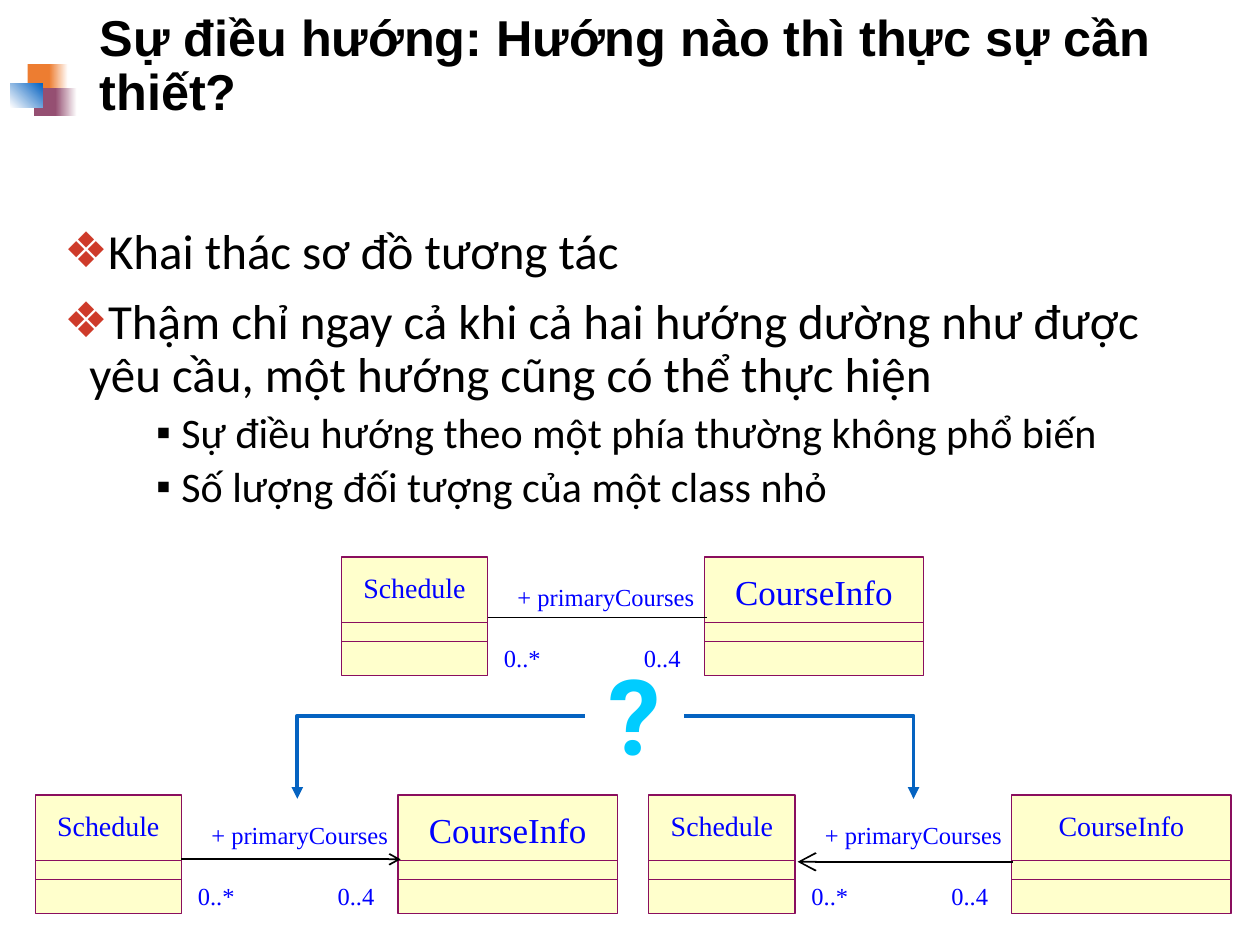
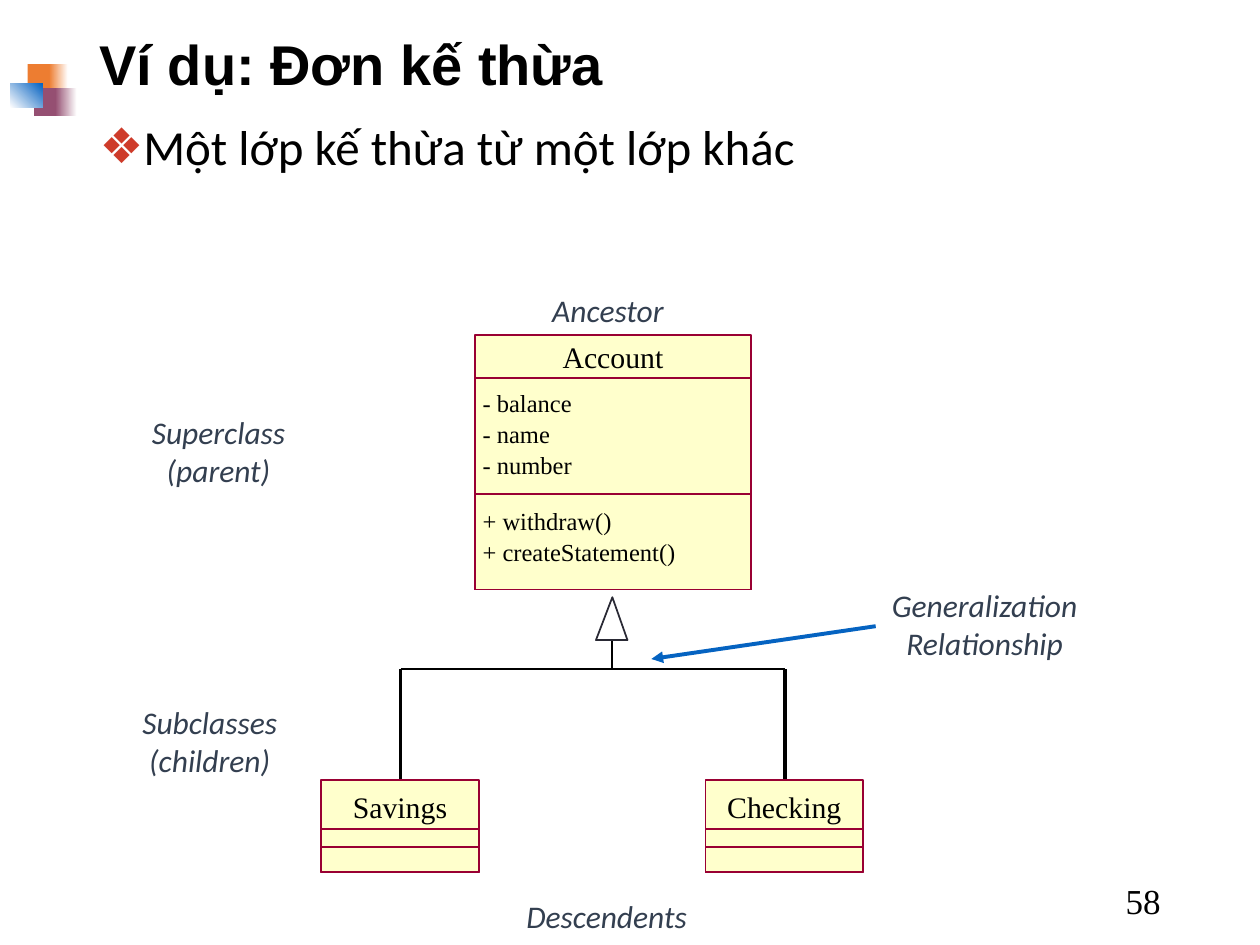
from dataclasses import dataclass
from typing import NamedTuple, Optional

from lxml.etree import SubElement
from pptx import Presentation
from pptx.dml.color import RGBColor
from pptx.enum.shapes import MSO_CONNECTOR as Conn, MSO_SHAPE as Shape
from pptx.enum.text import MSO_ANCHOR as Anchor, MSO_AUTO_SIZE as Fit, PP_ALIGN as Align
from pptx.oxml.ns import qn
from pptx.util import Inches, Pt

# Grid: 100 columns by 75 rows over the slide
COLS, ROWS = 100, 75
CELL = Inches(10) / COLS

BLACK, WHITE, BLUE = "000000", "FFFFFF", "0563C1"
ORANGE, PURPLE, RED = "ED7D31", "954F72", "CE3B2A"
CREAM, PLUM, CRIMSON = "FFFFCC", "8A0E5E", "990033"
LABEL_BLUE, CYAN, SLATE, INK = "0000FF", "00CCFF", "333F50", "292934"
SERIF, SANS, HEAD = "Times New Roman", "Calibri", "Arial"


class Box(NamedTuple):
    left: float
    top: float
    width: float
    height: float


@dataclass
class Mark:
    box: Box
    color: str
    end: Optional[str] = None
    angle: int = 0


@dataclass
class Association:
    """Schedule and CourseInfo joined by a line, placed from its left top corner."""
    left: float
    top: float
    line_y: float
    line_x: tuple = (11.6, 29)
    course_size: int = 20
    head: Optional[str] = None
    tail: Optional[str] = None


@dataclass
class ClassBox:
    name: str
    box: Box
    splits: tuple
    name_y: float


class Bullet(NamedTuple):
    char: str
    color: str
    size: int
    indent: float
    before: int


TOP_BULLET = Bullet("❖", RED, 28, 2, 10)
SUB_BULLET = Bullet("▪", BLACK, 24, 9.3, 5)

MARKS = [
    Mark(Box(2.2, 5.1, 2, 2.2), ORANGE),
    Mark(Box(3.9, 5.1, 1.5, 2.2), ORANGE, WHITE),
    Mark(Box(2.7, 7, 1.9, 2.2), PURPLE),
    Mark(Box(4.4, 7, 1.7, 2.2), PURPLE, WHITE),
    Mark(Box(0.8, 6.6, 2.6, 1.9), WHITE, BLUE, 45),
]


# Basic tools
def u(n: float) -> int:
    return round(n * CELL)


def rgb(color: str) -> RGBColor:
    return RGBColor.from_string(color)


def style_line(shape, color, width, head=None, tail=None, size="med") -> None:
    shape.line.color.rgb = rgb(color)
    shape.line.width = Pt(width)
    ln = shape.line._get_or_add_ln()
    for tag, kind in (("a:headEnd", head), ("a:tailEnd", tail)):
        if kind:
            SubElement(ln, qn(tag), type=kind, w=size, len=size)


def add_line(s, x1, y1, x2, y2, color=BLACK, width=1.0, **ends):
    c = s.shapes.add_connector(Conn.STRAIGHT, u(x1), u(y1), u(x2), u(y2))
    SubElement(c._element.spPr, qn("a:effectLst"))
    effects = c._element.spPr[-1]
    style_line(c, color, width, **ends)
    c._element.spPr.append(effects)
    return c


def add_rect(s, box: Box, fill=None, line=None, width=1.0):
    sp = s.shapes.add_shape(Shape.RECTANGLE, *map(u, box))
    sp.shadow.inherit = False
    if fill:
        sp.fill.solid()
        sp.fill.fore_color.rgb = rgb(fill)
    else:
        sp.fill.background()
    if line:
        style_line(sp, line, width)
    else:
        sp.line.fill.background()
    return sp


def add_outline(s, points, color, width, close=False, **ends):
    start, *rest = [(u(x), u(y)) for x, y in points]
    builder = s.shapes.build_freeform(*start)
    builder.add_line_segments(rest, close=close)
    sp = builder.convert_to_shape()
    sp.shadow.inherit = False
    sp.fill.background()
    style_line(sp, color, width, **ends)
    return sp


def format_text(p, text, size, font=SERIF, color=BLACK, bold=False, italic=False,
                align=Align.LEFT) -> None:
    p.text = text
    p.alignment = align
    for r in p.runs:
        f = r.font
        f.name, f.size, f.bold, f.italic = font, Pt(size), bold, italic
        f.color.rgb = rgb(color)


def add_text(s, box: Box, text, size, inset=(0, 0), wrap=False, anchor=Anchor.TOP, **kw):
    tf = s.shapes.add_textbox(*map(u, box)).text_frame
    tf.word_wrap = wrap
    tf.vertical_anchor = anchor
    tf.margin_left = tf.margin_right = u(inset[0])
    tf.margin_top = tf.margin_bottom = u(inset[1])
    format_text(tf.paragraphs[0], text, size, **kw)


# Shared slide parts
def place(ph, box: Box):
    ph.left, ph.top, ph.width, ph.height = map(u, box)
    ph.text_frame.auto_size = Fit.NONE
    ph.text_frame.word_wrap = True
    return ph.text_frame


def set_bullet(p, b: Bullet) -> None:
    pPr = p._p.get_or_add_pPr()
    pPr.set("marL", str(u(b.indent)))
    pPr.set("indent", str(-u(2)))
    clr = SubElement(pPr, qn("a:buClr"))
    SubElement(clr, qn("a:srgbClr"), val=b.color)
    SubElement(pPr, qn("a:buFont"), typeface=HEAD)
    SubElement(pPr, qn("a:buChar"), char=b.char)


def new_slide(prs, title: str, title_size: float, body_box: Box, items):
    s = prs.slides.add_slide(prs.slide_layouts[1])
    for m in MARKS:
        sp = add_rect(s, m.box, m.color)
        if m.end:
            sp.fill.gradient()
            sp.fill.gradient_angle = m.angle
            for stop, color in zip(sp.fill.gradient_stops, (m.color, m.end)):
                stop.color.rgb = rgb(color)

    tf = place(s.shapes.title, Box(6.9, 1.3, 86.2, 8.1))
    tf.vertical_anchor = Anchor.MIDDLE
    tf.paragraphs[0].line_spacing = 0.9
    format_text(tf.paragraphs[0], title, title_size, HEAD, bold=True)

    tf = place(s.placeholders[1], body_box)
    for i, (bullet, text) in enumerate(items):
        p = tf.add_paragraph() if i else tf.paragraphs[0]
        p.level = int(bullet is SUB_BULLET)
        p.line_spacing = 0.9
        p.space_before = Pt(bullet.before if i else 0)
        set_bullet(p, bullet)
        format_text(p, text, bullet.size, SANS)
    return s


# Diagram parts
def draw_association(s, a: Association) -> None:
    for name, dx, width, size in (("Schedule", 0, 11.6, 16),
                                  ("CourseInfo", 28.8, 17.4, a.course_size)):
        x = a.left + dx
        add_rect(s, Box(x, a.top, width, 9.4), CREAM, PLUM, 0.75)
        for dy in (5.2, 6.7):
            add_line(s, x, a.top + dy, x + width, a.top + dy, PLUM, 0.75)
        add_text(s, Box(x, a.top + 1.1, width, size / 6), name, size,
                 color=LABEL_BLUE, align=Align.CENTER)
    for text, dx in (("0..*", 12.9), ("0..4", 24)):
        add_text(s, Box(a.left + dx, a.top + 6.8, 3, 2.4), text, 14, color=LABEL_BLUE)
    add_text(s, Box(a.left + 10.4, a.top + 1.5, 18.6, 3.3), "+ primaryCourses", 14,
             inset=(1, 0.5), wrap=True, color=LABEL_BLUE, align=Align.RIGHT)
    x1, x2 = (a.left + x for x in a.line_x)
    y = a.top + a.line_y
    add_line(s, x1, y, x2, y, head=a.head, tail=a.tail, size="lg" if a.head else "med")


def draw_class(s, c: ClassBox) -> None:
    left, top, width, height = c.box
    add_rect(s, c.box, CREAM, CRIMSON)
    for dy in c.splits:
        add_rect(s, Box(left, top + dy, width, height - dy), None, CRIMSON)
    add_text(s, Box(left, top + c.name_y, width, 2.8), c.name, 17, align=Align.CENTER)


def navigation_slide(prs) -> None:
    s = new_slide(prs, "Sự điều hướng: Hướng nào thì thực sự cần thiết?", 28.8,
                  Box(4.1, 17.5, 92.1, 47.9), [
                      (TOP_BULLET, "Khai thác sơ đồ tương tác"),
                      (TOP_BULLET, "Thậm chỉ ngay cả khi cả hai hướng dường như được "
                                   "yêu cầu, một hướng cũng có thể thực hiện"),
                      (SUB_BULLET, "Sự điều hướng theo một phía thường không phổ biến"),
                      (SUB_BULLET, "Số lượng đối tượng của một class nhỏ"),
                  ])
    add_text(s, Box(46.5, 51.1, 7.8, 11), "?", 60, inset=(1, 0.5), wrap=True,
             font="Roboto", color=CYAN, bold=True, align=Align.CENTER)
    for a in (Association(2.8, 63.1, 5.1, tail="arrow"),
              Association(51.5, 63.1, 5.3, (11.8, 28.9), 16, head="arrow"),
              Association(27.1, 44.2, 4.8)):
        draw_association(s, a)
    # Arrows from the question to both answers
    for inner, outer in ((46.4, 23.6), (54.3, 72.5)):
        add_outline(s, [(inner, 56.8), (outer, 56.8), (outer, 63.4)], BLUE, 2.25,
                    tail="triangle")


def inheritance_slide(prs) -> None:
    s = new_slide(prs, "Ví dụ: Đơn kế thừa", 32, Box(6.9, 9.3, 86.2, 56.6),
                  [(TOP_BULLET, "Một lớp kế thừa từ một lớp khác")])
    add_text(s, Box(70.6, 69.5, 22.5, 4), "58", 20, inset=(1, 0.5), wrap=True,
             anchor=Anchor.MIDDLE, align=Align.RIGHT)

    # Generalization tree
    bar_y, apex_x = 53.1, 48.6
    for name, left in (("Savings", 25.5), ("Checking", 56)):
        middle = left + 6.3
        add_line(s, middle, 61.9, middle, bar_y, width=0)
        draw_class(s, ClassBox(name, Box(left, 61.9, 12.5, 7.3), (3.9, 5.3), 0.7))
    add_line(s, 31.8, bar_y, 62.3, bar_y)
    add_line(s, apex_x, bar_y, apex_x, 50.8)
    add_outline(s, [(apex_x, 47.4), (49.8, 50.8), (47.3, 50.8)], INK, 1, close=True)

    # Parent class with its members
    draw_class(s, ClassBox("Account", Box(37.7, 26.6, 21.9, 20.2), (3.4, 12.6), 0.3))
    for first_y, members in ((30.8, ("- balance", "- name", "- number")),
                             (40.2, ("+ withdraw()", "+ createStatement()"))):
        for i, member in enumerate(members):
            add_text(s, Box(38.3, first_y + 2.45 * i, 17.2, 2.3), member, 14)

    # Role labels
    for text, left, top, height in (("Superclass (parent)", 7.5, 32.2, 7.2),
                                    ("Subclasses\n(children)", 6.8, 55.2, 7.2),
                                    ("Generalization Relationship", 68.3, 45.9, 7.2),
                                    ("Descendents", 38.3, 70.6, 4.2),
                                    ("Ancestor", 38.4, 22.5, 4.2)):
        add_text(s, Box(left, top, 19.7, height), text, 18, inset=(1.2, 0.6), wrap=True,
                 font=SANS, color=SLATE, italic=True, align=Align.CENTER)
    add_line(s, 69.5, 49.7, 51.7, 52.3, BLUE, 2.25, tail="triangle")


def main() -> None:
    prs = Presentation()
    prs.slide_width, prs.slide_height = u(COLS), u(ROWS)
    navigation_slide(prs)
    inheritance_slide(prs)
    prs.save("out.pptx")


if __name__ == "__main__":
    main()
